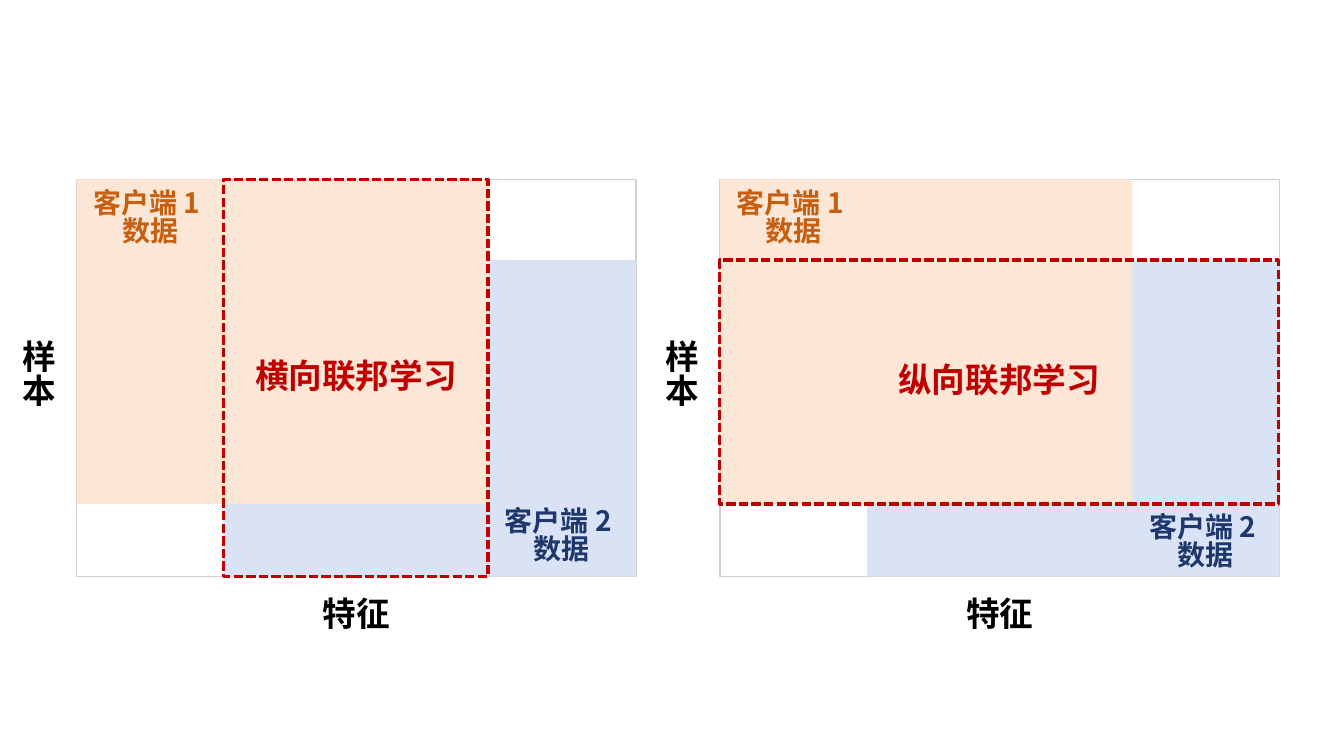
"""Build a slide comparing horizontal and vertical federated learning."""
from lxml.etree import SubElement
from pptx import Presentation
from pptx.dml.color import RGBColor
from pptx.enum.dml import MSO_LINE_DASH_STYLE as Dash
from pptx.enum.shapes import MSO_SHAPE as Shape
from pptx.enum.text import MSO_ANCHOR as Anchor, PP_ALIGN as Align
from pptx.oxml.ns import qn
from pptx.util import Inches, Pt

PANELS = [
    {"left": 0.76, "title": "横向联邦学习", "focus": (1.46, 0, 2.62, 3.94),
     "client_2": (4.08, 3.15, 1.46, 0.8)},
    {"left": 7.14, "title": "纵向联邦学习", "focus": (0, 0.8, 5.54, 2.42),
     "client_2": (4.09, 3.22, 1.46, 0.77)},
]
SAMPLES = ["样本"]
FEATURES = ["特征"]
CLIENT_1 = ["客户端 1 ", "数据"]
CLIENT_2 = ["客户端 2 ", "数据"]

THEME = {
    "font": "Noto Sans CJK SC", "title_size": 24, "client_size": 20,
    "line_spacing": 0.83, "frame": "D1CFCF", "focus": "C00000", "axis": "000000",
    "client_1": "C65F10", "client_1_fill": "FCE6D5",
    "client_2": "1E386B", "client_2_fill": "DAE3F5",
}
TOP = 1.78
WIDTH, HEIGHT = 5.55, 3.94
DATA_WIDTH, DATA_HEIGHT = 4.09, 3.22
OVERLAP_LEFT, OVERLAP_TOP = 1.46, 0.8


def place(left, box):
    """Turn a box measured from a panel corner into slide lengths."""
    x, y, width, height = box
    return [Inches(value) for value in (left + x, TOP + y, width, height)]


def add_area(slide, left, box, fill=None, line=None, weight=1, dash=None):
    """Add a rectangle with an optional fill and outline."""
    shape = slide.shapes.add_shape(Shape.RECTANGLE, *place(left, box))
    shape.shadow.inherit = False
    if fill:
        shape.fill.solid()
        shape.fill.fore_color.rgb = RGBColor.from_string(THEME[fill])
    else:
        shape.fill.background()
    if line:
        shape.line.color.rgb = RGBColor.from_string(THEME[line])
        shape.line.width = Pt(weight)
        shape.line.dash_style = dash
    else:
        shape.line.fill.background()


def add_label(slide, left, box, lines, color, size="title_size"):
    """Add centred bold text, one paragraph a line."""
    frame = slide.shapes.add_textbox(*place(left, box)).text_frame
    frame.word_wrap = True
    frame.vertical_anchor = Anchor.MIDDLE
    frame.text = "\n".join(lines)
    for paragraph in frame.paragraphs:
        paragraph.alignment = Align.CENTER
        paragraph.line_spacing = THEME["line_spacing"]
        font = paragraph.font
        font.size = Pt(THEME[size])
        font.bold = True
        font.color.rgb = RGBColor.from_string(THEME[color])
        font.name = THEME["font"]
        properties = paragraph._p.pPr.find(qn("a:defRPr"))
        SubElement(properties, qn("a:ea"), typeface=THEME["font"])


def add_panel(slide, panel):
    """Draw the two data sets, the shared region and the labels."""
    left = panel["left"]
    client_2_area = (OVERLAP_LEFT, OVERLAP_TOP, WIDTH - OVERLAP_LEFT, HEIGHT - OVERLAP_TOP)
    add_area(slide, left, (0, 0, WIDTH, HEIGHT), line="frame")
    add_area(slide, left, client_2_area, fill="client_2_fill")
    add_area(slide, left, (0, 0, DATA_WIDTH, DATA_HEIGHT), fill="client_1_fill")
    add_area(slide, left, panel["focus"], line="focus", weight=2.25, dash=Dash.SQUARE_DOT)
    add_label(slide, left, panel["focus"], [panel["title"]], "focus")
    add_label(slide, left, (-0.74, 0, 0.74, 3.91), SAMPLES, "axis")
    add_label(slide, left, (0, HEIGHT, WIDTH, 0.8), FEATURES, "axis")
    add_label(slide, left, (0, -0.01, 1.46, 0.8), CLIENT_1, "client_1", "client_size")
    add_label(slide, left, panel["client_2"], CLIENT_2, "client_2", "client_size")


def main():
    """Create and save the presentation."""
    presentation = Presentation()
    presentation.slide_width = Inches(13.33)
    presentation.slide_height = Inches(7.5)
    slide = presentation.slides.add_slide(presentation.slide_layouts[6])
    for panel in PANELS:
        add_panel(slide, panel)
    presentation.save("out.pptx")


if __name__ == "__main__":
    main()
